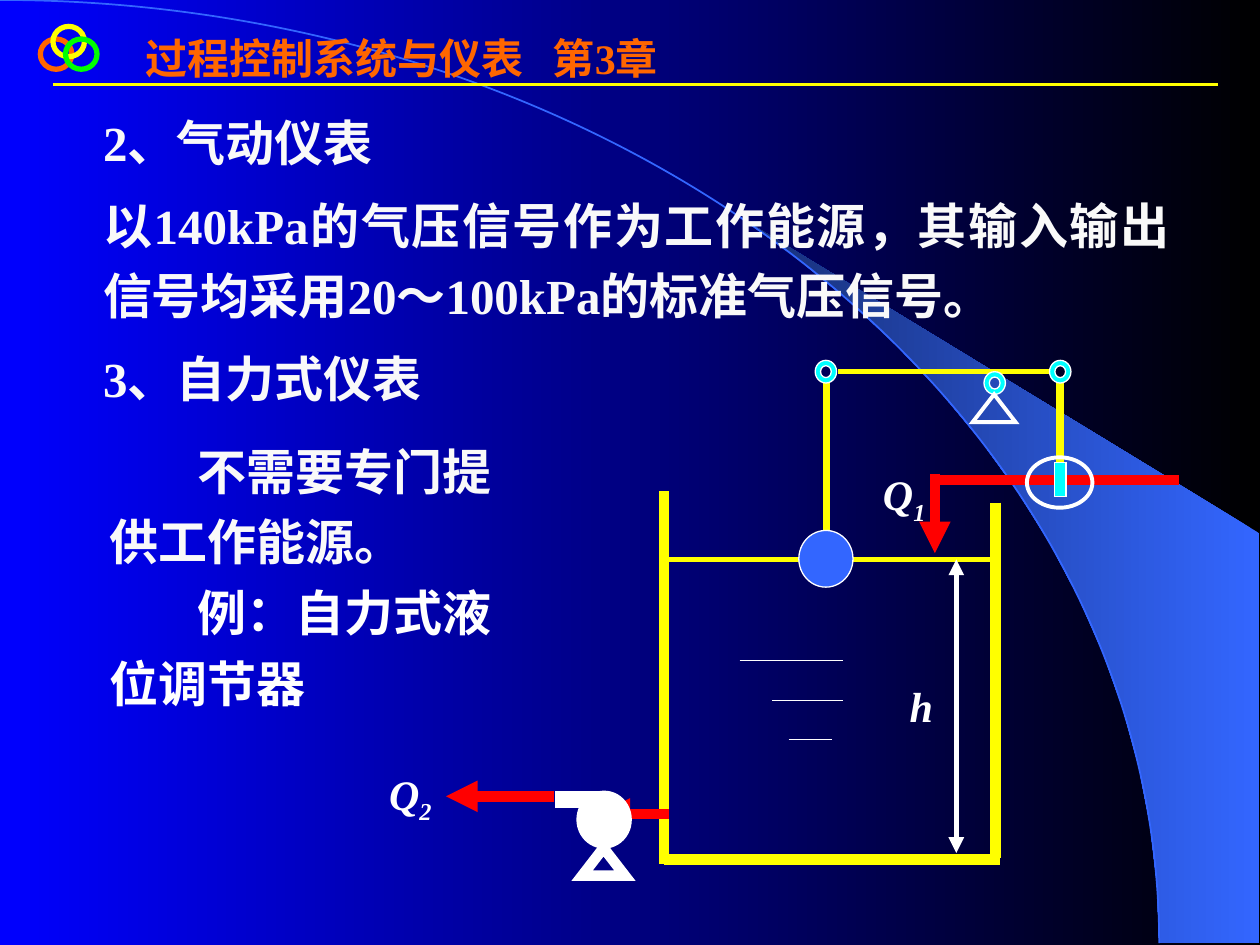
from dataclasses import dataclass
from math import asin, cos, pi, sin

from lxml.etree import SubElement
from pptx import Presentation
from pptx.dml.color import RGBColor
from pptx.enum.shapes import MSO_CONNECTOR, MSO_SHAPE
from pptx.enum.text import MSO_AUTO_SIZE, PP_ALIGN
from pptx.oxml.ns import qn
from pptx.util import Inches, Pt

COLUMNS, ROWS = 100, 75
FONT = "Times New Roman"
WHITE, PALE, YELLOW, RED = "FFFFFF", "F9F9F9", "FFFF00", "FF0000"
BLUE, CYAN, ORANGE, GREEN = "3366FF", "00FFFF", "FF6600", "00FF00"


@dataclass
class Box:
    """An area of the slide, measured in grid columns and rows."""
    left: float
    top: float
    width: float
    height: float

    def point(self, column, row):
        """Return the slide position of a grid point inside this box."""
        return cell(self.left + column), cell(self.top + row)


def cell(count):
    """Turn a count of grid cells into a length."""
    return Inches(count * 10 / COLUMNS)


def color(hex_string):
    """Turn a hex string into a colour."""
    return RGBColor.from_string(hex_string)


def fill_gradient(fill, right, left):
    """Fill from one colour at the right to another at the left."""
    fill.gradient()
    fill.gradient_angle = 180
    for stop, shade in zip(fill.gradient_stops, (right, left)):
        stop.color.rgb = color(shade)


def set_line(shape, shade, width):
    """Give a shape an outline with sharp corners."""
    shape.line.color.rgb = color(shade)
    shape.line.width = Pt(width)
    SubElement(shape._element.spPr.find(qn("a:ln")), qn("a:miter"), lim="800000")


def add_figure(page, box, kind, area, fill=None, line=WHITE, width=0.75):
    """Add a preset shape at an area given relative to the box."""
    column, row, wide, high = area
    shape = page.shapes.add_shape(kind, *box.point(column, row), cell(wide), cell(high))
    shape.shadow.inherit = False
    if fill:
        shape.fill.solid()
        shape.fill.fore_color.rgb = color(fill)
    else:
        shape.fill.background()
    set_line(shape, line, width)
    return shape


def add_line(page, box, start, end, shade, width, arrows=()):
    """Add a straight line with optional arrowheads."""
    line = page.shapes.add_connector(
        MSO_CONNECTOR.STRAIGHT, *box.point(*start), *box.point(*end))
    set_line(line, shade, width)
    properties = line._element.spPr
    for arrow in arrows:
        SubElement(properties.find(qn("a:ln")), qn(f"a:{arrow}"), type="triangle")
    SubElement(properties, qn("a:effectLst"))


def format_span(span, size, shade):
    """Set the font, size and colour of a bold run."""
    span.font.name = FONT
    span.font.size = Pt(size)
    span.font.bold = True
    span.font.color.rgb = color(shade)


def add_text(page, box, paragraphs, size, shade, wrap=True):
    """Add a text box and return its paragraphs."""
    shape = page.shapes.add_textbox(*box.point(0, 0), cell(box.width), cell(box.height))
    frame = shape.text_frame
    frame.text = "\n".join(paragraphs)
    frame.word_wrap = wrap
    frame.auto_size = MSO_AUTO_SIZE.SHAPE_TO_FIT_TEXT
    for para in frame.paragraphs:
        for span in para.runs:
            format_span(span, size, shade)
    return frame.paragraphs


def add_label(page, box, letter, subscript=""):
    """Add an italic symbol with an optional subscript."""
    para = add_text(page, box, [letter], 24, WHITE, wrap=False)[0]
    if subscript:
        span = para.add_run()
        span.text = subscript
        format_span(span, 24, WHITE)
        span._r.get_or_add_rPr().set("baseline", "-25000")
    for span in para.runs:
        span.font.italic = True


def draw_backdrop(page, box):
    """Draw the gradient, the bright wedge and the long arc."""
    fill_gradient(page.background.fill, "000000", "0000FF")
    radius, drop, steps = box.width * 0.92, box.height * 0.998, 14
    start = asin(0.64)
    angles = [start + (pi / 2 - start) * step / steps for step in range(steps + 1)]
    points = [box.point(radius * sin(angle), drop * (1 - cos(angle))) for angle in angles]
    points += [box.point(99.9, drop), box.point(99.9, 42.3)]
    builder = page.shapes.build_freeform(*points[0])
    builder.add_line_segments(points[1:], close=True)
    wedge = builder.convert_to_shape()
    wedge.shadow.inherit = False
    fill_gradient(wedge.fill, BLUE, "172F75")
    wedge.line.fill.background()
    add_figure(page, box, MSO_SHAPE.ARC, (-radius, 0, 2 * radius, 2 * drop), line=BLUE, width=1)


def draw_header(page, box):
    """Draw the header rule, the chapter title and the three rings."""
    add_line(page, box, (1, 4.6), (93.5, 4.6), YELLOW, 1.5)
    title = Box(box.left + 7.4, box.top, 44.9, 9)
    para = add_text(page, title, ["过程控制系统与仪表\t第3章"], 24, ORANGE)[0]
    stops = SubElement(para._p.get_or_add_pPr(), qn("a:tabLst"))
    SubElement(stops, qn("a:tab"), pos=str(cell(32.3)), algn="l")
    for index, (row, shade) in enumerate(((1, ORANGE), (0, YELLOW), (1, GREEN))):
        add_figure(page, box, MSO_SHAPE.OVAL, (index, row, 2.5, 2.4), line=shade, width=3)


def draw_body(page, box):
    """Write the paragraphs on pneumatic instruments."""
    paras = add_text(page, box, [
        "2、气动仪表",
        "以140kPa的气压信号作为工作能源，其输入输出信号均采用20～100kPa的标准气压信号。",
        "3、自力式仪表"], 28, PALE)
    for index, para in enumerate(paras):
        para.alignment = PP_ALIGN.JUSTIFY
        para.line_spacing = 1.2
        para.space_before = Pt(7 if index else 0)


def draw_example(page, box):
    """Write the indented note beside the diagram."""
    paras = add_text(page, box, ["不需要专门提供工作能源。", "例：自力式液位调节器"], 28, PALE)
    for para in paras:
        para.line_spacing = 1.2
        para._p.get_or_add_pPr().set("indent", str(cell(7)))
    paras[1].runs[0].font.color.rgb = color(WHITE)


def draw_regulator(page, box):
    """Draw the tank, float, lever, valve and pump."""
    add_line(page, box, (44.3, 10.1), (63.7, 10.1), RED, 6)
    for start, end, width in (
            ((22.8, 11), (22.8, 40.6), 6), ((49.1, 11.9), (49.1, 40.1), 6),
            ((35.7, 2.4), (35.7, 14.1), 4.5), ((22.8, 40.2), (49.5, 40.2), 6),
            ((22.8, 16.4), (49.1, 16.4), 3)):
        add_line(page, box, start, end, YELLOW, width)
    add_figure(page, box, MSO_SHAPE.OVAL, (33.5, 14.1, 4.3, 4.5), BLUE)
    add_line(page, box, (54.2, 2), (54.2, 8.7), YELLOW, 4.5)
    add_figure(page, box, MSO_SHAPE.RECTANGLE, (53.8, 8.7, 0.9, 2.7), CYAN)
    add_line(page, box, (46, 16.4), (46, 39.7), WHITE, 3, ("headEnd", "tailEnd"))
    add_line(page, box, (36.6, 1.5), (53.8, 1.5), YELLOW, 3)
    for column, row in ((34.8, 0.6), (53.4, 0.6), (48.2, 1.5)):
        joint = add_figure(page, box, MSO_SHAPE.DONUT, (column, row, 1.7, 1.8), CYAN)
        joint.adjustments[0] = 0.25
    for start, end in (((44.3, 9.6), (44.3, 15.9)), ((14.1, 35.2), (5.5, 35.2)),
                       ((23.2, 36.6), (17.6, 36.6))):
        add_line(page, box, start, end, RED, 6, ("tailEnd",))
    add_figure(page, box, MSO_SHAPE.OVAL, (15.9, 34.8, 4.3, 4.5), WHITE)
    add_figure(page, box, MSO_SHAPE.RECTANGLE, (14.2, 34.8, 3.9, 1.3), WHITE)
    for column, row, width in ((16.3, 39.3, 6), (47.3, 3.3, 2.25)):
        add_figure(page, box, MSO_SHAPE.ISOSCELES_TRIANGLE, (column, row, 3.4, 2.2), width=width)
    add_figure(page, box, MSO_SHAPE.OVAL, (51.6, 8.3, 5.2, 4), width=2.25)
    for start, end, row in ((28.8, 37, 24.4), (31.4, 37, 27.6), (32.7, 36.1, 30.7)):
        add_line(page, box, (start, row), (end, row), WHITE, 0.75)
    for column, row, wide, letter, subscript in (
            (41.3, 25.5, 3.8, "h", ""), (39.2, 8.7, 5.4, "Q", "1"), (0, 32.5, 5.4, "Q", "2")):
        label = Box(box.left + column, box.top + row, wide, 5)
        add_label(page, label, letter, subscript)


def main():
    """Build and save the slide."""
    deck = Presentation()
    deck.slide_width, deck.slide_height = cell(COLUMNS), cell(ROWS)
    page = deck.slides.add_slide(deck.slide_layouts[6])
    draw_backdrop(page, Box(0, 0, COLUMNS, ROWS))
    draw_header(page, Box(3.2, 2.1, 93.5, 9))
    draw_body(page, Box(7.2, 7.5, 86.6, 32))
    draw_regulator(page, Box(29.9, 28, 63.7, 42))
    draw_example(page, Box(7.7, 33.6, 32.5, 23.4))
    deck.save("out.pptx")


if __name__ == "__main__":
    main()
